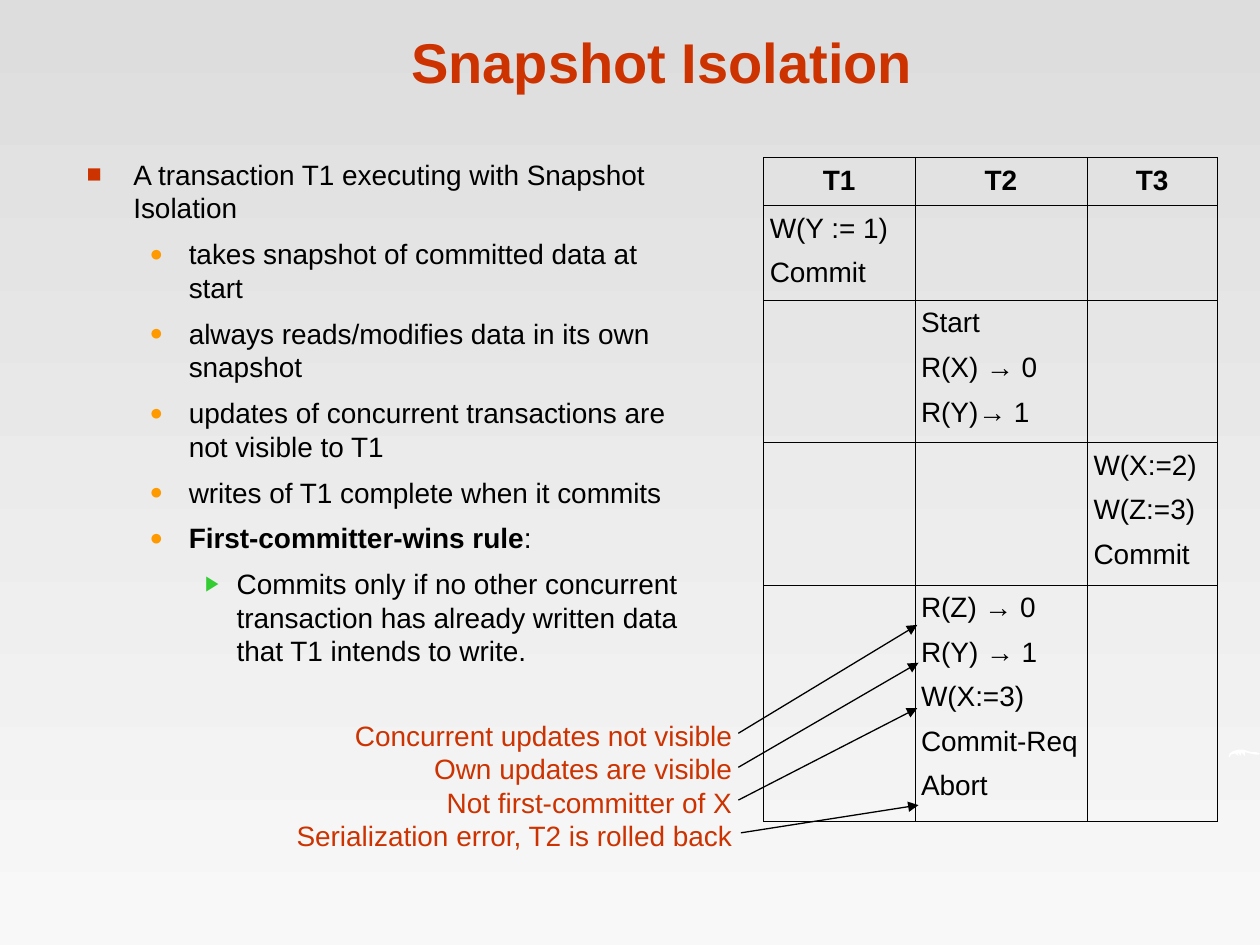
from dataclasses import dataclass

from lxml.etree import SubElement
from pptx import Presentation
from pptx.dml.color import RGBColor
from pptx.enum.shapes import MSO_CONNECTOR as CONN
from pptx.enum.text import MSO_ANCHOR as ANCHOR, MSO_AUTO_SIZE as AUTO, PP_ALIGN as ALIGN
from pptx.oxml.ns import qn
from pptx.util import Inches, Pt


@dataclass(frozen=True)
class Theme:
    font: str = "Arial"
    title: int = 32
    body: int = 16
    gap: int = 7
    black: str = "000000"
    red: str = "CC3300"
    white: str = "FFFFFF"
    sky_top: str = "DDDDDD"
    sky_bottom: str = "F8F8F8"


T = Theme()
LEVELS = [
    (0.37, 0.37, "■", T.red, 90),
    (0.81, 0.31, "●", "FF9900", 80),
    (1.19, 0.25, "▶", "33CC33", 75),
]
POINTS = [
    (0, [("A transaction T1 executing with Snapshot Isolation", False)]),
    (1, [("takes snapshot of committed data at start", False)]),
    (1, [("always reads/modifies data in its own snapshot", False)]),
    (1, [("updates of concurrent transactions are not visible to T1", False)]),
    (1, [("writes of T1 complete when it commits", False)]),
    (1, [("First-committer-wins rule", True), (":", False)]),
    (2, [("Commits only if no other concurrent transaction has already "
          "written data that T1 intends to write.", False)]),
]
COLUMNS = [1.2, 1.37, 1.03]
SCHEDULE = [
    (0.38, [["T1"], ["T2"], ["T3"]]),
    (0.75, [["W(Y := 1)", "Commit"], [], []]),
    (1.13, [[], ["Start", "R(X) → 0", "R(Y)→ 1"], []]),
    (1.13, [[], [], ["W(X:=2)", "W(Z:=3)", "Commit"]]),
    (1.88, [[], ["R(Z) → 0", "R(Y) → 1", "W(X:=3)", "Commit-Req", "Abort"], []]),
]
NOTES = [
    "Concurrent updates not visible",
    "Own updates are visible",
    "Not first-committer of X",
    "Serialization error, T2 is rolled back",
]
ARROWS = [
    ((5.86, 5.82), (7.28, 4.96)),
    ((5.86, 6.09), (7.29, 5.26)),
    ((5.86, 6.35), (7.28, 5.62)),
    ((5.88, 6.61), (7.29, 6.39)),
]
SWOOSH = [
    (9.75, 6.01), (9.76, 5.98), (9.79, 5.96), (9.83, 5.95), (9.87, 5.95),
    (9.93, 5.97), (9.97, 5.97), (10, 5.98), (9.99, 5.99), (9.97, 5.99),
    (9.92, 5.98), (9.88, 5.97), (9.88, 6), (9.85, 5.97), (9.85, 6),
    (9.82, 5.97), (9.83, 6), (9.8, 5.98), (9.77, 5.99), (9.76, 6.01),
]


def rgb(color):
    return RGBColor.from_string(color)


def write(p, text, size=T.body, color=T.black, bold=False, align=None):
    r = p.add_run()
    r.text = text
    r.font.name, r.font.size, r.font.bold = T.font, Pt(size), bold
    r.font.color.rgb = rgb(color)
    if align is not None:
        p.alignment = align


def paragraphs(tf, items):
    for i, item in enumerate(items):
        yield (tf.add_paragraph() if i else tf.paragraphs[0]), item


def add_text_frame(slide, box, wrap=True):
    tf = slide.shapes.add_textbox(*map(Inches, box)).text_frame
    tf.word_wrap = wrap
    return tf


def set_bullet(p, level):
    left, hang, char, color, percent = LEVELS[level]
    p.level = level
    pPr = p._p.get_or_add_pPr()
    pPr.set("marL", str(Inches(left)))
    pPr.set("indent", str(-Inches(hang)))
    SubElement(SubElement(pPr, qn("a:buClr")), qn("a:srgbClr"), val=color)
    SubElement(pPr, qn("a:buSzPct"), val=str(percent * 1000))
    SubElement(pPr, qn("a:buFont"), typeface=T.font)
    SubElement(pPr, qn("a:buChar"), char=char)


def set_borders(cell, widths):
    tcPr = cell._tc.get_or_add_tcPr()
    for i, (side, width) in enumerate(zip("LRTB", widths)):
        ln = SubElement(tcPr, qn(f"a:ln{side}"), w=str(Pt(width)))
        fill = SubElement(ln, qn("a:solidFill"))
        SubElement(fill, qn("a:srgbClr"), val=T.black)
        tcPr.insert(i, ln)


def draw_background(slide):
    fill = slide.background.fill
    fill.gradient()
    fill.gradient_angle = 270
    for stop, color, pos in zip(fill.gradient_stops, (T.sky_top, T.sky_bottom), (0, 1)):
        stop.color.rgb = rgb(color)
        stop.position = pos


def draw_swoosh(slide, points):
    start, *rest = [(Inches(x), Inches(y)) for x, y in points]
    builder = slide.shapes.build_freeform(*start)
    builder.add_line_segments(rest)
    sp = builder.convert_to_shape()
    sp.shadow.inherit = False
    sp.fill.solid()
    sp.fill.fore_color.rgb = rgb(T.white)
    sp.line.fill.background()


def draw_title(slide, box):
    tf = add_text_frame(slide, box)
    tf.vertical_anchor = ANCHOR.BOTTOM
    write(tf.paragraphs[0], "Snapshot Isolation", size=T.title, color=T.red,
          bold=True, align=ALIGN.CENTER)


def draw_points(slide, box):
    for p, (level, runs) in paragraphs(add_text_frame(slide, box), POINTS):
        p.space_before = Pt(T.gap)
        set_bullet(p, level)
        for text, bold in runs:
            write(p, text, bold=bold)


def draw_schedule(slide, box):
    last_row, last_col = len(SCHEDULE) - 1, len(COLUMNS) - 1
    table = slide.shapes.add_table(last_row + 1, last_col + 1, *map(Inches, box)).table
    table.first_row = table.horz_banding = False
    for column, width in zip(table.columns, COLUMNS):
        column.width = Inches(width)
    for i, (height, row) in enumerate(SCHEDULE):
        table.rows[i].height = Inches(height)
        for j, lines in enumerate(row):
            cell = table.cell(i, j)
            cell.fill.background()
            cell.margin_left = cell.margin_right = Inches(0.05)
            cell.margin_top = cell.margin_bottom = Inches(0.05)
            outer = (j == 0, j == last_col, i == 0, i == last_row)
            set_borders(cell, [0.5 if edge else 0.23 for edge in outer])
            for p, text in paragraphs(cell.text_frame, lines):
                p.line_spacing, p.space_before = 1.04, Pt(T.gap)
                write(p, text, bold=i == 0, align=ALIGN.LEFT if i else ALIGN.CENTER)


def draw_notes(slide, box):
    tf = add_text_frame(slide, box, wrap=False)
    tf.auto_size = AUTO.SHAPE_TO_FIT_TEXT
    for p, text in paragraphs(tf, NOTES):
        write(p, text, color=T.red, align=ALIGN.RIGHT)


def draw_arrow(slide, start, end):
    line = slide.shapes.add_connector(CONN.STRAIGHT, *map(Inches, start + end))
    line.line.width = Pt(0.75)
    line.line.color.rgb = rgb(T.black)
    SubElement(line.line._get_or_add_ln(), qn("a:tailEnd"), type="triangle")
    SubElement(line._element.spPr, qn("a:effectLst"))


def main():
    prs = Presentation()
    prs.slide_width, prs.slide_height = Inches(10), Inches(7.5)
    slide = prs.slides.add_slide(prs.slide_layouts[6])
    draw_background(slide)
    draw_swoosh(slide, SWOOSH)
    draw_title(slide, (0.84, 0.13, 8.83, 0.67))
    draw_points(slide, (0.59, 1.2, 4.97, 5.79))
    draw_schedule(slide, (6.06, 1.25, 3.6, 5.27))
    draw_notes(slide, (2.24, 5.65, 3.67, 1.17))
    for start, end in ARROWS:
        draw_arrow(slide, start, end)
    prs.save("out.pptx")


if __name__ == "__main__":
    main()
